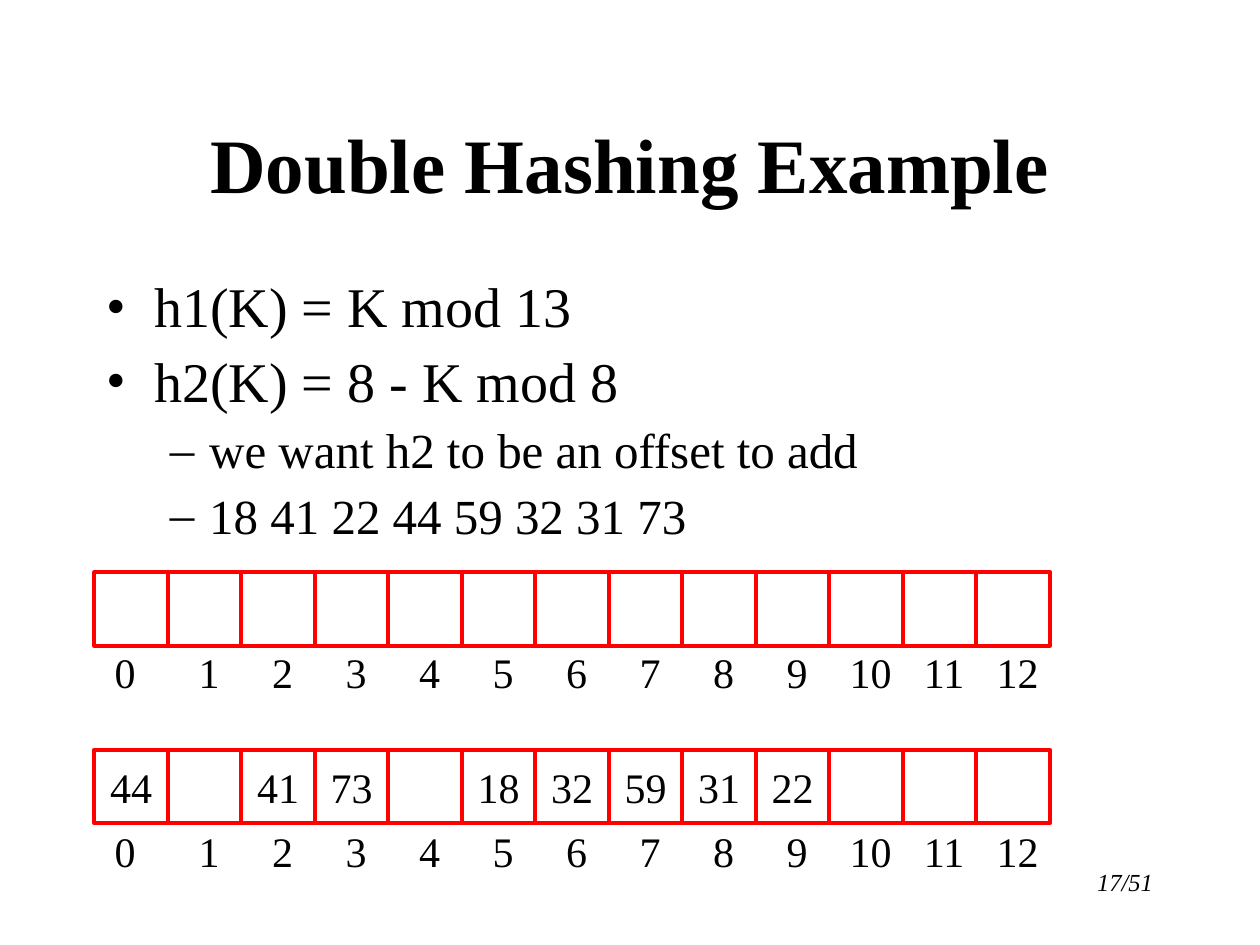
from dataclasses import dataclass

from lxml.etree import SubElement
from pptx import Presentation
from pptx.dml.color import RGBColor
from pptx.enum.shapes import MSO_SHAPE as Preset
from pptx.enum.text import MSO_ANCHOR as Anchor, PP_ALIGN as Align
from pptx.oxml.ns import qn
from pptx.util import Inches, Pt

GRID = Inches(1) // 12
COLUMNS, ROWS = 120, 90
FONT = "Times New Roman"
BLACK, RED = "000000", "FF0000"
CELL = 7
TABLE_LEFT = 9


@dataclass
class Area:
    left: float
    top: float
    width: float
    height: float

    def lengths(self) -> list[int]:
        return [round(value * GRID) for value in (self.left, self.top, self.width, self.height)]


@dataclass
class Bullet:
    text: str
    symbol: str
    level: int
    size: int
    margin: float
    hanging: float
    space_before: int


@dataclass
class HashTable:
    top: float
    label_top: float
    slots: list[str]


BULLETS = [
    Bullet("h1(K) = K mod 13", "•", 0, 32, 4.5, 4.5, 0),
    Bullet("h2(K) = 8 - K mod 8", "•", 0, 32, 4.5, 4.5, 8),
    Bullet("we want h2 to be an offset to add", "–", 1, 28, 9.75, 3.75, 7),
    Bullet("18 41 22 44 59 32 31 73", "–", 1, 28, 9.75, 3.75, 7),
]

TABLES = [
    HashTable(54.5, 61, [""] * 13),
    HashTable(71.4, 78, ["44", "", "41", "73", "", "18", "32", "59", "31", "22", "", "", ""]),
]


def color(value: str) -> RGBColor:
    return RGBColor.from_string(value)


def style(paragraph, size: int, bold: bool = False, italic: bool = False) -> None:
    font = paragraph.font
    font.name, font.size, font.bold, font.italic = FONT, Pt(size), bold, italic
    font.color.rgb = color(BLACK)


def add_text(slide, area: Area, text: str, size: int, align=Align.LEFT,
             anchor=Anchor.TOP, bold: bool = False, italic: bool = False):
    frame = slide.shapes.add_textbox(*area.lengths()).text_frame
    frame.word_wrap = True
    frame.vertical_anchor = anchor
    paragraph = frame.paragraphs[0]
    paragraph.text = text
    paragraph.alignment = align
    style(paragraph, size, bold, italic)
    return frame


def add_bullets(slide, area: Area, bullets: list[Bullet]) -> None:
    frame = slide.shapes.add_textbox(*area.lengths()).text_frame
    frame.word_wrap = True
    for index, bullet in enumerate(bullets):
        paragraph = frame.add_paragraph() if index else frame.paragraphs[0]
        paragraph.text = bullet.text
        paragraph.level = bullet.level
        properties = paragraph._p.get_or_add_pPr()
        properties.set("marL", str(round(bullet.margin * GRID)))
        properties.set("indent", str(round(-bullet.hanging * GRID)))
        bullet_color = SubElement(properties, qn("a:buClr"))
        SubElement(bullet_color, qn("a:srgbClr"), val=BLACK)
        SubElement(properties, qn("a:buFont"), typeface=FONT)
        SubElement(properties, qn("a:buChar"), char=bullet.symbol)
        paragraph.line_spacing = 0.9
        paragraph.space_before = Pt(bullet.space_before)
        style(paragraph, bullet.size)


def add_slot(slide, area: Area, text: str) -> None:
    shape = slide.shapes.add_shape(Preset.RECTANGLE, *area.lengths())
    shape.shadow.inherit = False
    shape.fill.background()
    shape.line.color.rgb = color(RED)
    shape.line.width = Pt(2.25)
    if text:
        frame = shape.text_frame
        frame.word_wrap = False
        frame.vertical_anchor = Anchor.MIDDLE
        paragraph = frame.paragraphs[0]
        paragraph.text = text
        paragraph.alignment = Align.CENTER
        style(paragraph, 24)


def add_indices(slide, top: float, count: int) -> None:
    frame = add_text(slide, Area(8.75, top, 91.3, 6), "\t".join(map(str, range(count))), 24)
    frame.margin_left, frame.margin_right = Inches(0.18), 0
    properties = frame.paragraphs[0]._p.get_or_add_pPr()
    tabs = properties.makeelement(qn("a:tabLst"))
    properties.insert(0, tabs)
    for index in range(1, count):
        position = round((2 + CELL * index) * GRID)
        SubElement(tabs, qn("a:tab"), pos=str(position), algn="ctr")


def add_hash_table(slide, table: HashTable) -> None:
    for index, text in enumerate(table.slots):
        add_slot(slide, Area(TABLE_LEFT + index * CELL, table.top, CELL, CELL), text)
    add_indices(slide, table.label_top, len(table.slots))


def main() -> None:
    presentation = Presentation()
    presentation.slide_width, presentation.slide_height = COLUMNS * GRID, ROWS * GRID
    slide = presentation.slides.add_slide(presentation.slide_layouts[6])
    add_text(slide, Area(86, 82, 25, 6), "17/51", 14, Align.RIGHT, italic=True)
    add_text(slide, Area(9, 8, 102, 15), "Double Hashing Example", 44,
             Align.CENTER, Anchor.MIDDLE, bold=True)
    add_bullets(slide, Area(9, 26, 102, 28), BULLETS)
    for table in TABLES:
        add_hash_table(slide, table)
    presentation.save("out.pptx")


if __name__ == "__main__":
    main()
